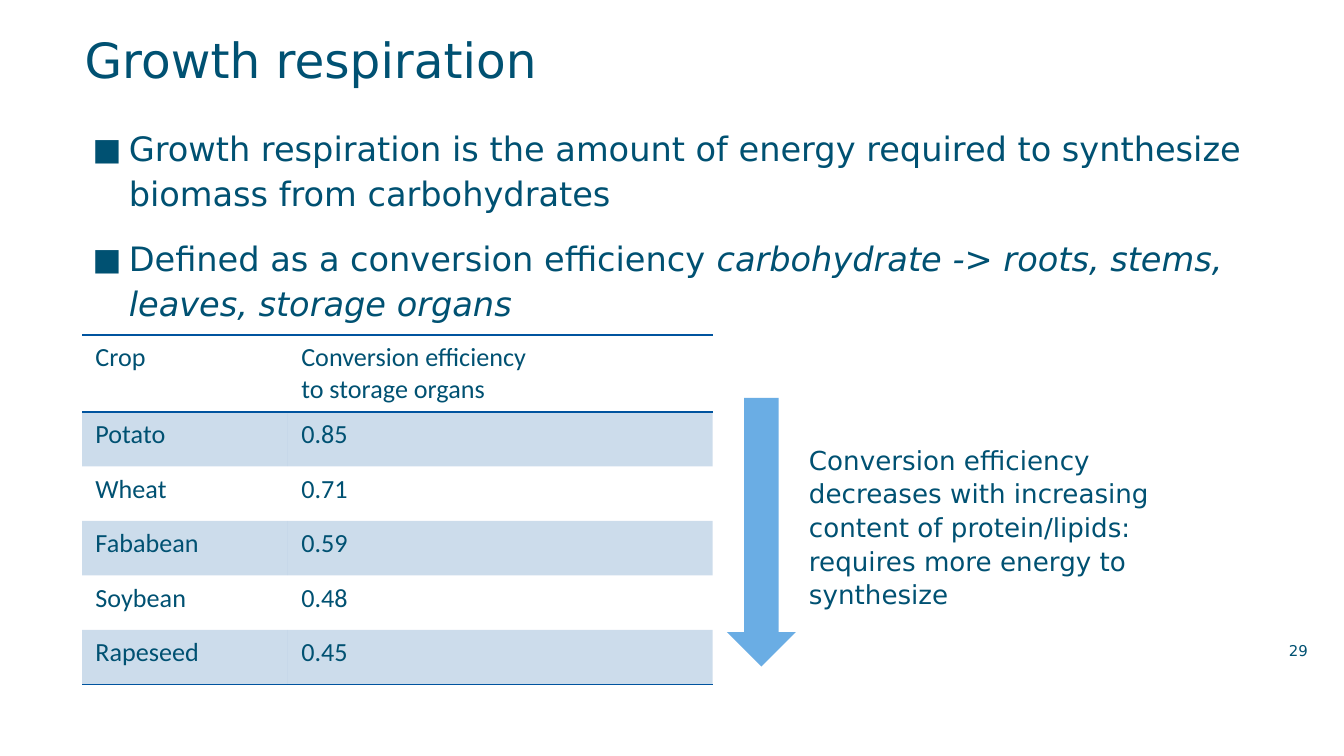
from dataclasses import dataclass

from lxml import etree
from pptx import Presentation
from pptx.dml.color import RGBColor
from pptx.enum.shapes import MSO_SHAPE
from pptx.enum.text import MSO_ANCHOR, MSO_AUTO_SIZE, PP_ALIGN
from pptx.oxml.ns import qn
from pptx.util import Cm, Pt

DOWN = MSO_SHAPE.DOWN_ARROW
TOP = MSO_ANCHOR.TOP
FIXED = MSO_AUTO_SIZE.NONE
LEFT, RIGHT = PP_ALIGN.LEFT, PP_ALIGN.RIGHT
PLAIN = "{2D5ABB26-0587-4C30-8999-92F81FD0307C}"


@dataclass(frozen=True)
class Theme:
    ink: str = "005172"
    rule: str = "00549F"
    arrow: str = "6AADE4"
    tint: int = 20
    font: str = "DejaVu Sans"
    grid: str = "Calibri"
    title: int = 26
    body: int = 18
    note: int = 14
    num: int = 8


THEME = Theme()

POINTS = [
    [("Growth respiration is the amount of energy required to synthesize "
      "biomass from carbohydrates", False)],
    [("Defined as a conversion efficiency ", False),
     ("carbohydrate -> roots, stems, leaves, storage organs", True)],
]
CROPS = [
    ("Crop", "Conversion efficiency \vto storage organs"),
    ("Potato", "0.85"),
    ("Wheat", "0.71"),
    ("Fababean", "0.59"),
    ("Soybean", "0.48"),
    ("Rapeseed", "0.45"),
]
NOTE = ("Conversion efficiency decreases with increasing content of "
        "protein/lipids: requires more energy to synthesize")


def place(shape, box):
    shape.left, shape.top, shape.width, shape.height = map(Cm, box)


def inset(frame, left, top, right, bottom):
    frame.margin_left, frame.margin_top = Cm(left), Cm(top)
    frame.margin_right, frame.margin_bottom = Cm(right), Cm(bottom)


def style(para, size, font=THEME.font, lead=None, align=LEFT):
    para.alignment = align
    if lead:
        para.line_spacing = Pt(lead)
    for run in para.runs:
        run.font.size = Pt(size)
        run.font.name = font
        run.font.color.rgb = RGBColor.from_string(THEME.ink)


def setup(frame):
    frame.word_wrap = True
    frame.auto_size = FIXED
    frame.vertical_anchor = TOP


def add(parent, tag, **attrs):
    return etree.SubElement(parent, qn(tag), attrs)


def bullet(para):
    props = para._p.get_or_add_pPr()
    props.set("marL", str(Cm(0.71)))
    props.set("indent", str(-Cm(0.71)))
    add(add(props, "a:buClr"), "a:srgbClr", val=THEME.ink)
    add(props, "a:buSzPct", val="140000")
    add(props, "a:buFont", typeface=THEME.font)
    add(props, "a:buChar", char="▪")


def head(slide, box):
    title = slide.shapes.title
    place(title, box)
    frame = title.text_frame
    setup(frame)
    inset(frame, 0.05, 0.05, 0.25, 0.5)
    frame.text = "Growth respiration"
    style(frame.paragraphs[0], THEME.title, lead=32)


def body(slide, box):
    holder = slide.placeholders[1]
    place(holder, box)
    frame = holder.text_frame
    setup(frame)
    for i, parts in enumerate(POINTS):
        para = frame.add_paragraph() if i else frame.paragraphs[0]
        bullet(para)
        for words, slant in parts:
            run = para.add_run()
            run.text = words
            run.font.italic = slant
        style(para, THEME.body, lead=24)
        para.space_before = Pt(11 if i else 0)


def border(cell, tag):
    line = add(cell._tc.get_or_add_tcPr(), tag, w=str(Pt(1)))
    add(add(line, "a:solidFill"), "a:srgbClr", val=THEME.rule)


def shade(cell):
    cell.fill.solid()
    cell.fill.fore_color.rgb = RGBColor.from_string(THEME.rule)
    color = cell._tc.tcPr.find(qn("a:solidFill")).find(qn("a:srgbClr"))
    add(color, "a:alpha", val=str(THEME.tint * 1000))


def grid(slide, box):
    left, top, width, height = map(Cm, box)
    last = len(CROPS) - 1
    table = slide.shapes.add_table(
        len(CROPS), 2, left, top, width, height).table
    table.first_row = table.horz_banding = False
    table._tbl.tblPr.find(qn("a:tableStyleId")).text = PLAIN
    table.columns[0].width = Cm(3.89)
    table.columns[1].width = width - Cm(3.89)
    first = Cm(1.45)
    for r, values in enumerate(CROPS):
        table.rows[r].height = first if r == 0 else (height - first) // last
        for c, words in enumerate(values):
            cell = table.cell(r, c)
            cell.text_frame.text = words
            style(cell.text_frame.paragraphs[0], THEME.note, THEME.grid)
            if r == 0:
                border(cell, "a:lnT")
            if r in (0, last):
                border(cell, "a:lnB")
            if r % 2:
                shade(cell)
            else:
                cell.fill.background()


def label(slide, box, words, size, lead, align=LEFT):
    frame = slide.shapes.add_textbox(*map(Cm, box)).text_frame
    setup(frame)
    frame.text = words
    style(frame.paragraphs[0], size, lead=lead, align=align)
    return frame


def trend(slide, box):
    x, y, w, h = box
    wide = 1.3
    arrow = slide.shapes.add_shape(DOWN, *map(Cm, (x, y, wide, h)))
    arrow.shadow.inherit = False
    arrow.fill.solid()
    arrow.fill.fore_color.rgb = RGBColor.from_string(THEME.arrow)
    arrow.line.fill.background()
    label(slide, (x + wide, y + 0.71, w - wide, 3.4), NOTE, THEME.note, 18)


def number(slide, box):
    frame = label(slide, box, "29", THEME.num, 9, RIGHT)
    inset(frame, 0.25, 0, 0.1, 0)


def main():
    deck = Presentation()
    deck.slide_width, deck.slide_height = Cm(25.4), Cm(14.29)
    slide = deck.slides.add_slide(deck.slide_layouts[1])
    head(slide, (1.55, 0.48, 23.14, 1.6))
    body(slide, (1.47, 2.21, 23.34, 2.16))
    grid(slide, (1.55, 6.33, 11.92, 6.6))
    trend(slide, (13.74, 7.52, 9.43, 5.08))
    number(slide, (23.52, 12.14, 1.3, 0.33))
    deck.save("out.pptx")


if __name__ == "__main__":
    main()
